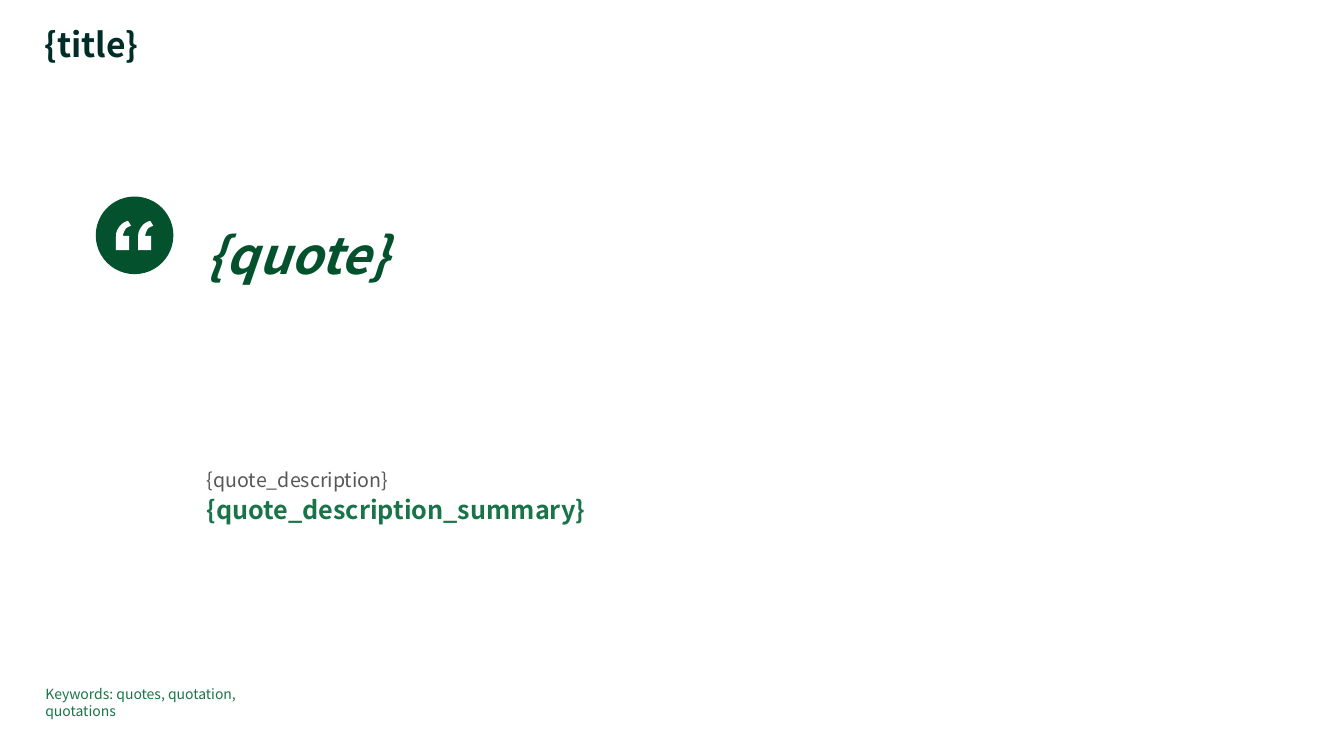
from pptx import Presentation
from pptx.dml.color import RGBColor
from pptx.enum.shapes import MSO_SHAPE as Shape
from pptx.enum.text import MSO_ANCHOR as Anchor
from pptx.util import Inches, Pt

FONT = "Noto Sans CJK JP"
INK = RGBColor(0x00, 0x2D, 0x28)
FOREST = RGBColor(0x03, 0x52, 0x2D)
GREEN = RGBColor(0x1A, 0x74, 0x49)
GREY = RGBColor(0x57, 0x57, 0x57)
WHITE = RGBColor(0xFF, 0xFF, 0xFF)

MARK_START = (0.34, 0)
MARK_CURVES = [
    [(0.37, 0.05), (0.34, 0.06), (0.32, 0.07), (0.31, 0.09)],
    [(0.31, 0.09), (0.30, 0.11), (0.29, 0.13), (0.29, 0.15)],
    [(0.22, 0.19), (0.22, 0.15), (0.22, 0.12), (0.23, 0.10)],
    [(0.23, 0.10), (0.24, 0.08), (0.25, 0.06), (0.27, 0.04)],
    [(0.27, 0.04), (0.29, 0.02), (0.31, 0.01), (0.34, 0)],
]
MARK_FOOT = [(0.35, 0.15), (0.35, 0.29), (0.22, 0.29)]
MARK_GAP = 0.22


def curve_points(curve, steps=8):
    """Return points along a cubic curve."""
    points = []
    for step in range(steps + 1):
        t = step / steps
        weights = ((1 - t) ** 3, 3 * t * (1 - t) ** 2, 3 * t * t * (1 - t), t ** 3)
        points.append(tuple(sum(w * p[axis] for w, p in zip(weights, curve))
                            for axis in (0, 1)))
    return points


def paint(shape, color):
    """Give a shape a plain fill without line or shadow."""
    shape.shadow.inherit = False
    shape.fill.solid()
    shape.fill.fore_color.rgb = color
    shape.line.fill.background()


def add_text(slide, left, top, width, height, runs, line_spacing=1.0, space_after=0):
    """Add a paragraph of (text, size, color, bold, italic) runs, one per line."""
    box = slide.shapes.add_textbox(Inches(left), Inches(top), Inches(width), Inches(height))
    frame = box.text_frame
    frame.word_wrap = True
    frame.vertical_anchor = Anchor.TOP
    frame.margin_left = frame.margin_right = frame.margin_top = frame.margin_bottom = 0
    paragraph = frame.paragraphs[0]
    paragraph.line_spacing = line_spacing
    paragraph.space_after = Pt(space_after)
    for index, (text, size, color, bold, italic) in enumerate(runs):
        if index:
            paragraph.add_line_break()
        run = paragraph.add_run()
        run.text = text
        run.font.name = FONT
        run.font.size = Pt(size)
        run.font.color.rgb = color
        run.font.bold = bold
        run.font.italic = italic


def add_quote_badge(slide, left, top, size):
    """Add a disc with a pair of opening quotation marks."""
    disc = slide.shapes.add_shape(Shape.OVAL, Inches(left), Inches(top),
                                  Inches(size), Inches(size))
    paint(disc, FOREST)
    upper = curve_points(MARK_CURVES[0]) + curve_points(MARK_CURVES[1])
    lower = [point for curve in MARK_CURVES[2:] for point in curve_points(curve)]
    outline = [MARK_START] + upper + MARK_FOOT + lower
    for shift in (0, MARK_GAP):
        points = [(Inches(left + 0.2 + x - shift), Inches(top + 0.24 + y))
                  for x, y in outline]
        builder = slide.shapes.build_freeform(*points[0])
        builder.add_line_segments(points[1:], close=True)
        paint(builder.convert_to_shape(), WHITE)


def add_title(slide, text):
    """Add the slide heading."""
    add_text(slide, 0.44, 0.28, 11.03, 0.37, [(text, 24, INK, True, False)], 0.9)


def main():
    """Build the quotation slide."""
    deck = Presentation()
    deck.slide_width, deck.slide_height = Inches(13.33), Inches(7.5)
    slide = deck.slides.add_slide(deck.slide_layouts[6])
    add_title(slide, "{title}")
    add_text(slide, 2.05, 2.22, 10.34, 0.61, [("{quote}", 36, FOREST, True, True)])
    add_text(slide, 2.05, 4.62, 6.79, 0.58, [
        ("{quote_description}", 14, GREY, False, False),
        ("{quote_description_summary}", 18, GREEN, True, False),
    ], 1.1, 6)
    add_quote_badge(slide, 0.95, 1.95, 0.77)
    add_text(slide, 0.45, 6.8, 2.48, 0.17, [
        ("Keywords: quotes, quotation, quotations", 10, GREEN, False, False),
    ], space_after=1.1)
    deck.save("out.pptx")


if __name__ == "__main__":
    main()
